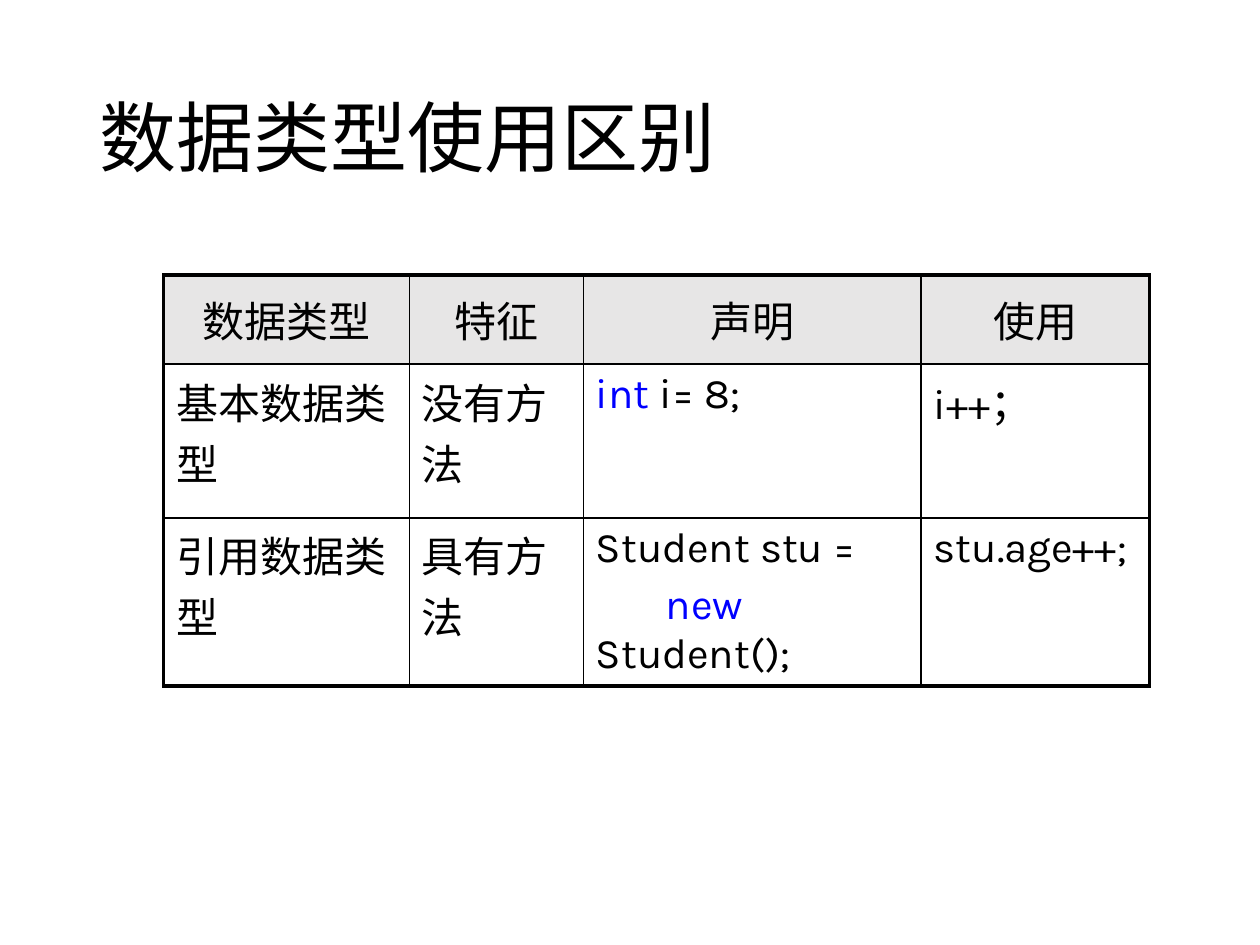
from lxml.etree import SubElement
from pptx import Presentation
from pptx.dml.color import RGBColor
from pptx.enum.text import MSO_ANCHOR as Anchor, MSO_AUTO_SIZE as AutoSize, PP_ALIGN as Align
from pptx.oxml import parse_xml
from pptx.oxml.ns import nsdecls, qn
from pptx.util import Cm, Pt

# Content: a cell is a list of paragraphs, a paragraph a list of runs
TITLE = "数据类型使用区别"
HEADERS = ["数据类型", "特征", "声明", "使用"]
KEYWORDS = {"int", "new"}
BODY = [
    [[["基本数据类型"]], [["没有方法"]], [["int", " i= 8;"]], [["i++；"]]],
    [[["引用数据类型"]], [["具有方法"]],
     [["Student stu ="], ["       ", "new", " Student();"]], [["stu.age++;"]]],
]
ROWS = [[[[header]] for header in HEADERS]] + BODY

COLUMN_WIDTHS = [4.95, 3.51, 6.81, 4.6]
ROW_HEIGHTS = [1.8, 3.1, 3.1]
BLACK, BLUE, GREY = "000000", "0000FF", "E7E6E6"
THIN, THICK = 1, 2.25


def color(hex_value):
    return RGBColor.from_string(hex_value)


def set_borders(cell, widths):
    """Draw the left, right, top and bottom borders, widths in points."""
    properties = cell._tc.get_or_add_tcPr()
    for index, (side, width) in enumerate(zip("LRTB", widths)):
        line = parse_xml(f'<a:ln{side} {nsdecls("a")} w="{Pt(width)}"/>')
        fill = SubElement(line, qn("a:solidFill"))
        SubElement(fill, qn("a:srgbClr"), val=BLACK)
        properties.insert(index, line)


def write_cell(cell, paragraphs, is_header):
    frame = cell.text_frame
    for index, runs in enumerate(paragraphs):
        paragraph = frame.add_paragraph() if index else frame.paragraphs[0]
        if index:
            paragraph.space_before = Pt(4.8)
        paragraph.alignment = Align.CENTER if is_header else Align.LEFT
        paragraph.font.name = "Karla"
        paragraph.font.size = Pt(24)
        for text in runs:
            run = paragraph.add_run()
            run.text = text
            run.font.color.rgb = color(BLUE if text in KEYWORDS else BLACK)


presentation = Presentation()
presentation.slide_width, presentation.slide_height = Cm(25.4), Cm(19.05)
slide = presentation.slides.add_slide(presentation.slide_layouts[5])

# Title
title = slide.shapes.title
title.left, title.top, title.width, title.height = Cm(1.75), Cm(1.02), Cm(21.9), Cm(3.68)
title.text_frame.text = TITLE
title.text_frame.auto_size = AutoSize.NONE
title.text_frame.vertical_anchor = Anchor.MIDDLE
paragraph = title.text_frame.paragraphs[0]
paragraph.alignment = Align.LEFT
paragraph.line_spacing = 0.9
paragraph.font.name = "Calibri"
paragraph.font.size = Pt(44)
paragraph.font.color.rgb = color(BLACK)

# Table
table = slide.shapes.add_table(
    len(ROWS), len(HEADERS), Cm(3.3), Cm(5.54),
    Cm(sum(COLUMN_WIDTHS)), Cm(sum(ROW_HEIGHTS))).table
table.first_row = table.horz_banding = False
for column, width in zip(table.columns, COLUMN_WIDTHS):
    column.width = Cm(width)
for row, height in zip(table.rows, ROW_HEIGHTS):
    row.height = Cm(height)

# Cells, with a thick outer frame
last_row, last_column = len(ROWS) - 1, len(HEADERS) - 1
for r, row in enumerate(ROWS):
    for c, paragraphs in enumerate(row):
        cell = table.cell(r, c)
        is_header = r == 0
        write_cell(cell, paragraphs, is_header)
        cell.vertical_anchor = Anchor.MIDDLE if is_header else Anchor.TOP
        if is_header:
            cell.fill.solid()
            cell.fill.fore_color.rgb = color(GREY)
        else:
            cell.fill.background()
        outer_sides = (c == 0, c == last_column, r == 0, r == last_row)
        set_borders(cell, [THICK if outer else THIN for outer in outer_sides])

presentation.save("out.pptx")
